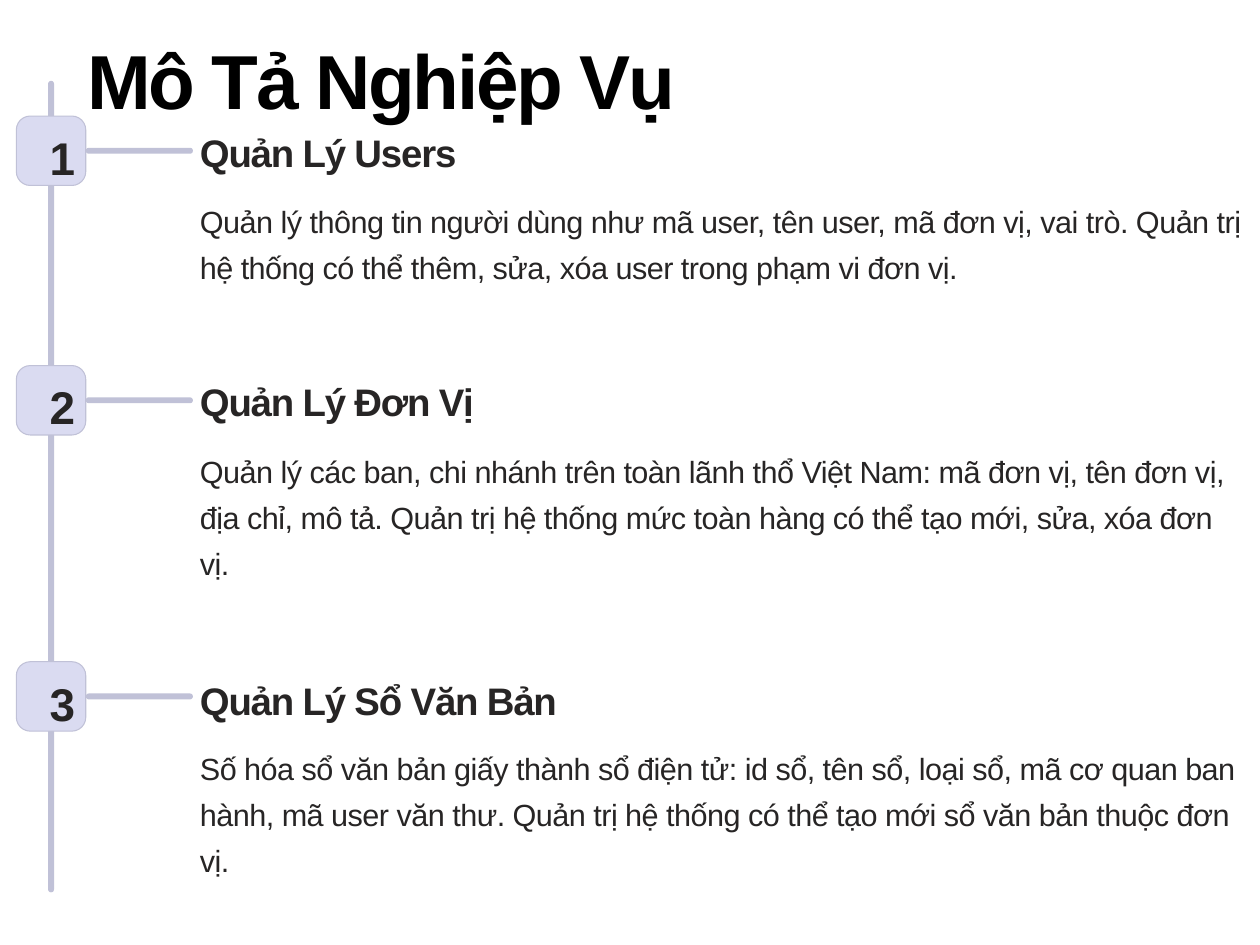
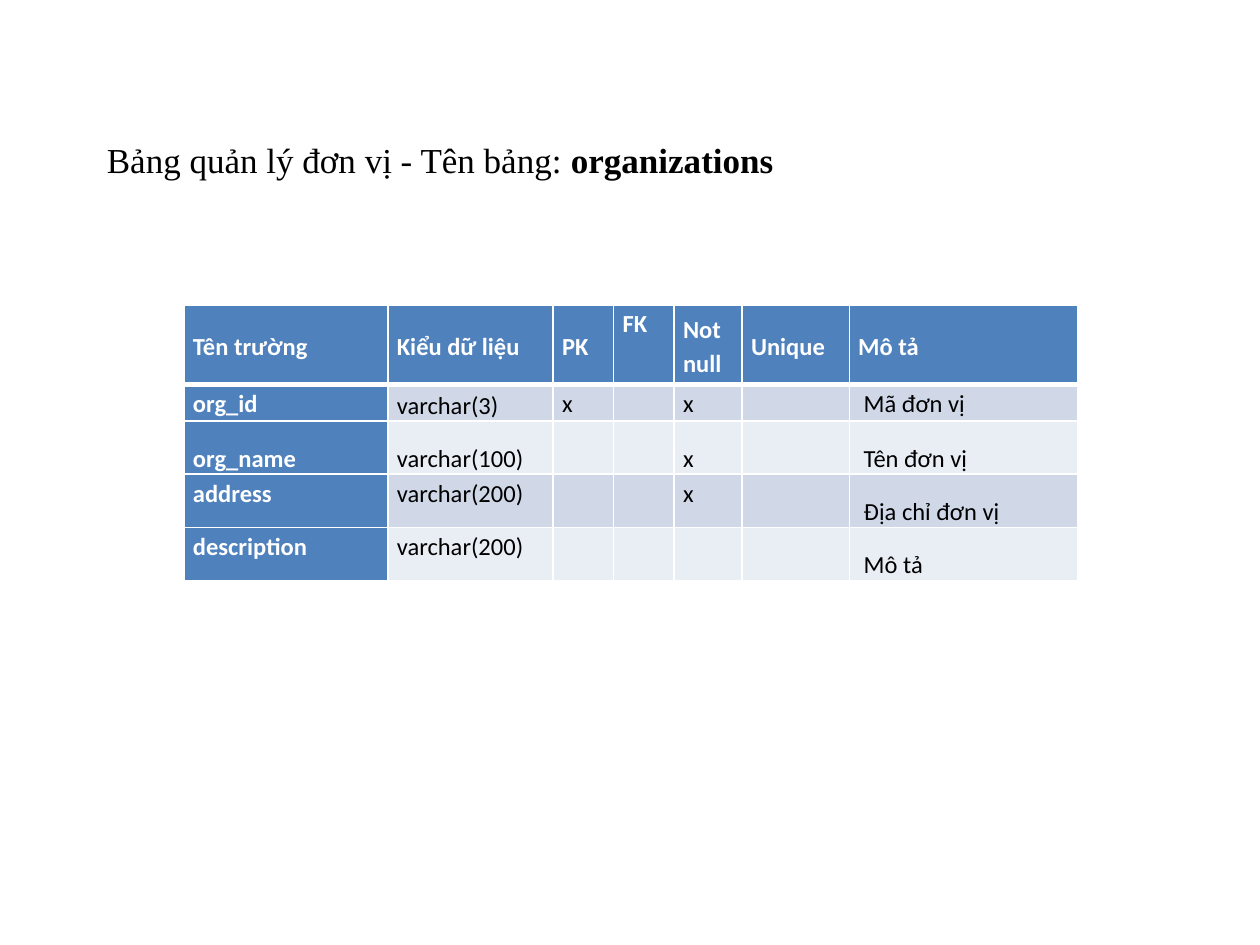
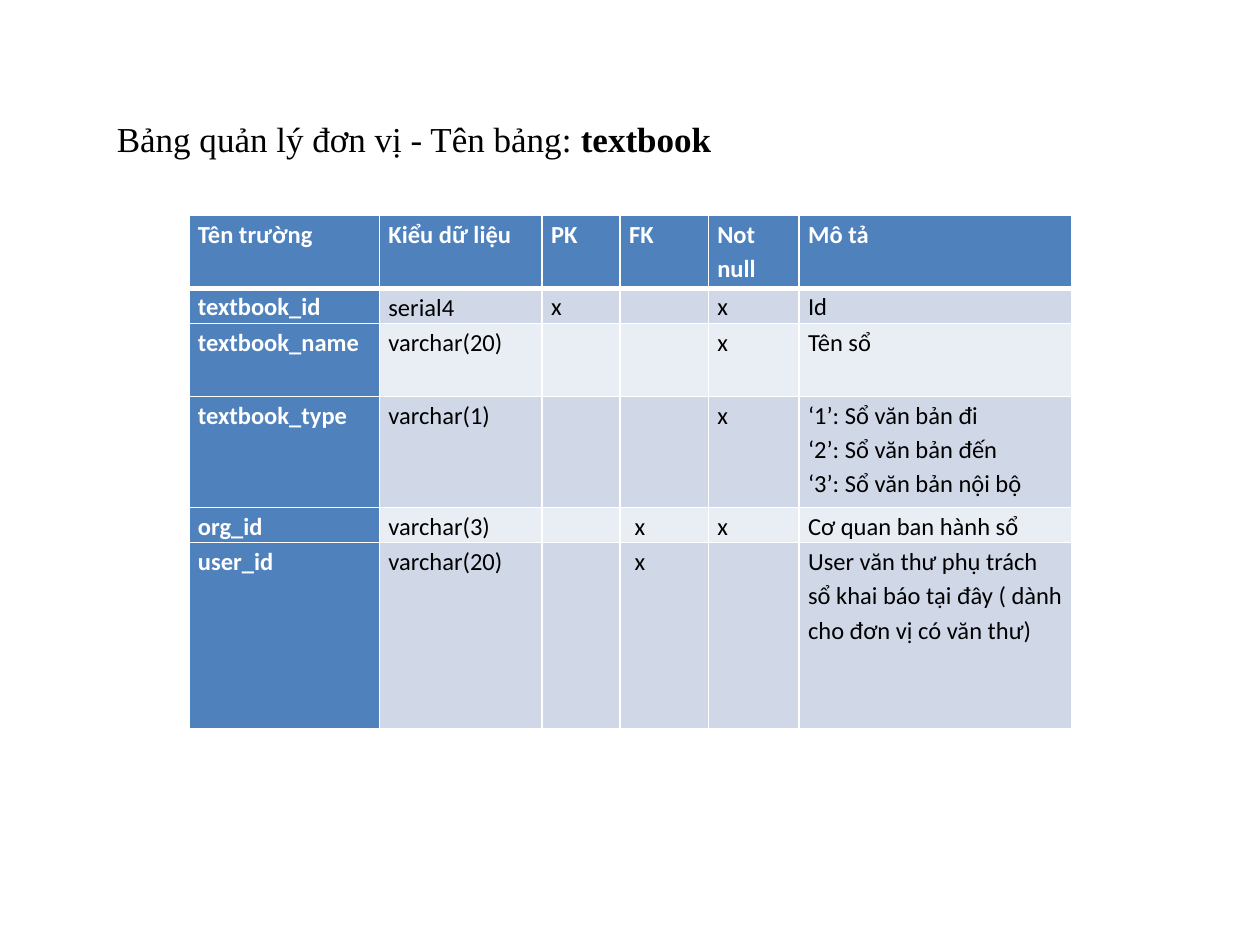
import pptx
import pptx.util
import pptx.dml.color
import pptx.enum.shapes
import pptx.enum.text
import pptx.oxml
import pptx.oxml.ns
import lxml.etree

Cm, Pt = pptx.util.Cm, pptx.util.Pt
SHAPE = pptx.enum.shapes.MSO_SHAPE
ALIGN = pptx.enum.text.PP_ALIGN
ANCHOR = pptx.enum.text.MSO_ANCHOR
qn = pptx.oxml.ns.qn

COLORS = {
    "black": "000000", "white": "FFFFFF", "ink": "272525",
    "rail": "C0C1D7", "badge": "DADBF1",
    "head": "4F81BD", "odd": "D0D8E8", "even": "E9EDF4",
}
ANCHORS = {"t": ANCHOR.TOP, "m": ANCHOR.MIDDLE, "b": ANCHOR.BOTTOM}
BAR = 0.12      # thickness of rail and arms
BADGE = 1.4     # side of a number badge

ITEMS = [  # top, extra drop of the text, lines in the box, heading, body
    (2.34, 0, 2, "Quản Lý Users",
     "Quản lý thông tin người dùng như mã user, tên user, mã đơn vị, vai trò. "
     "Quản trị hệ thống có thể thêm, sửa, xóa user trong phạm vi đơn vị."),
    (7.37, 0, 3, "Quản Lý Đơn Vị",
     "Quản lý các ban, chi nhánh trên toàn lãnh thổ Việt Nam: mã đơn vị, tên đơn vị, "
     "địa chỉ, mô tả. Quản trị hệ thống mức toàn hàng có thể tạo mới, sửa, xóa đơn vị."),
    (13.34, 0.05, 3, "Quản Lý Sổ Văn Bản",
     "Số hóa sổ văn bản giấy thành sổ điện tử: id sổ, tên sổ, loại sổ, mã cơ quan ban "
     "hành, mã user văn thư. Quản trị hệ thống có thể tạo mới sổ văn bản thuộc đơn vị."),
]

# Each table row: height, cell anchors, cell texts
ORG_COLS = [4.11, 3.33, 1.22, 1.22, 1.37, 2.16, 4.6]
ORG_ROWS = [
    (1.6, "mmmtmmm", ["Tên trường", "Kiểu dữ liệu", "PK", "FK", "Not null", "Unique", "Mô tả"]),
    (0.74, "tbttttt", ["org_id", "varchar(3)", "x", "", "x", "", " Mã đơn vị"]),
    (1.07, "bbbbbbb", ["org_name", "varchar(100)", "", "", "x", "", " Tên đơn vị"]),
    (1.07, "ttttttb", ["address", "varchar(200)", "", "", "x", "", " Địa chỉ đơn vị"]),
    (1.07, "ttttttb", ["description", "varchar(200)", "", "", "", "", " Mô tả"]),
]
BOOK_COLS = [3.84, 3.28, 1.57, 1.78, 1.83, 5.49]
BOOK_ROWS = [
    (1.47, "tttttt", ["Tên trường", "Kiểu dữ liệu", "PK", "FK", "Not null", "Mô tả"]),
    (0.71, "tbtttt", ["textbook_id", "serial4", "x", "", "x", "Id"]),
    (1.47, "tttttt", ["textbook_name", "varchar(20)", "", "", "x", "Tên sổ"]),
    (2.24, "tttttt", ["textbook_type", "varchar(1)", "", "", "x",
                      "‘1’: Sổ văn bản đi\n‘2’: Sổ văn bản đến\n‘3’: Sổ văn bản nội bộ"]),
    (0.71, "tttttt", ["org_id", "varchar(3)", "", " x", "x", "Cơ quan ban hành sổ"]),
    (3.76, "tttttt", ["user_id", "varchar(20)", "", " x", "",
                      "User văn thư phụ trách sổ khai báo tại đây ( dành cho đơn vị có văn thư)"]),
]


def rgb(key):
    return pptx.dml.color.RGBColor.from_string(COLORS[key])


def style(para, face, size, color, bold=False, space=1.15, track=0, align=ALIGN.LEFT):
    """Format a paragraph; track is the letter spacing in points."""
    font = para.font
    font.name, font.size, font.bold = face, Pt(size), bold
    font.color.rgb = rgb(color)
    para.line_spacing, para.alignment = space, align
    if track:
        para._p.pPr.find(qn("a:defRPr")).set("spc", str(round(track * 100)))


def title(slide, box, text, strong="", **look):
    shape = slide.shapes.title
    shape.left, shape.top, shape.width, shape.height = map(Cm, box)
    frame = shape.text_frame
    frame.auto_size = pptx.enum.text.MSO_AUTO_SIZE.NONE
    frame.vertical_anchor = ANCHOR.TOP
    para = frame.paragraphs[0]
    para.add_run().text = text
    if strong:
        run = para.add_run()
        run.text, run.font.bold = strong, True
    style(para, color="black", **look)


def label(slide, box, text, wrap=False, **look):
    frame = slide.shapes.add_textbox(*map(Cm, box)).text_frame
    frame.word_wrap = wrap
    frame.text = text
    style(frame.paragraphs[0], "Arial", color="ink", **look)


def block(slide, box, fill, round_by, line=None):
    shape = slide.shapes.add_shape(SHAPE.ROUNDED_RECTANGLE, *map(Cm, box))
    shape.adjustments[0] = round_by
    shape.shadow.inherit = False
    shape.fill.solid()
    shape.fill.fore_color.rgb = rgb(fill)
    if line:
        shape.line.color.rgb = rgb(line)
        shape.line.width = Pt(0.6)
    else:
        shape.line.fill.background()


def item(slide, left, top, num, drop, lines, head, body):
    """One step of the timeline: arm, badge, number, heading and body."""
    block(slide, (left + BADGE, top + (BADGE - BAR) / 2, 2.16, BAR), "rail", 0.5)
    block(slide, (left, top, BADGE, BADGE), "badge", 0.2, "rail")
    label(slide, (left + 0.42, top + 0.1, 0.56, 1.17), str(num), size=26.2, bold=True,
          space=Pt(32.8), track=-0.8, align=ALIGN.CENTER)
    text = left + 3.45
    label(slide, (text, top + 0.1 + drop, 7.72, 0.97), head, size=21.9, bold=True,
          space=Pt(27.3), track=-0.7)
    label(slide, (text, top + 1.45 + drop / 2, 21.6, 0.92 * lines), body, wrap=True,
          size=17.5, space=Pt(26.2), track=-0.3)


def timeline(deck):
    slide = deck.slides.add_slide(deck.slide_layouts[5])
    title(slide, (1.5, 0.46, 15.44, 1.93), "Mô Tả Nghiệp Vụ", face="Arial", size=43.7,
          bold=True, space=Pt(54.7), track=-1.3)
    left = 0.33
    block(slide, (left + (BADGE - BAR) / 2, 1.63, BAR, 16.36), "rail", 0.5)
    for num, (top, *parts) in enumerate(ITEMS, 1):
        item(slide, left, top, num, *parts)


def border(cell, widths):
    """White cell borders; widths maps each side to points."""
    props = cell._tc.get_or_add_tcPr()
    for i, (side, width) in enumerate(widths.items()):
        line = lxml.etree.Element(qn("a:ln" + side), w=str(Pt(width)))
        fill = lxml.etree.SubElement(line, qn("a:solidFill"))
        lxml.etree.SubElement(fill, qn("a:srgbClr"), val=COLORS["white"])
        props.insert(i, line)


def grid(slide, left, top, cols, rows):
    """Table with a coloured first row and first column, and banded rows."""
    heights = [row[0] for row in rows]
    table = slide.shapes.add_table(len(rows), len(cols), Cm(left), Cm(top),
                                   Cm(sum(cols)), Cm(sum(heights))).table
    for col, width in zip(table.columns, cols):
        col.width = Cm(width)
    for r, (height, anchors, texts) in enumerate(rows):
        table.rows[r].height = Cm(height)
        for c, text in enumerate(texts):
            cell = table.cell(r, c)
            main = r == 0 or c == 0
            cell.text = text
            cell.margin_left = cell.margin_right = Cm(0.18)
            cell.margin_top = cell.margin_bottom = 0
            cell.vertical_anchor = ANCHORS[anchors[c]]
            cell.fill.solid()
            cell.fill.fore_color.rgb = rgb("head" if main else "odd" if r % 2 else "even")
            border(cell, {"L": 1, "R": 1, "T": 3 if r == 1 else 1, "B": 3 if r == 0 else 1})
            for para in cell.text_frame.paragraphs:
                style(para, "Calibri", 14, "white" if main else "black", main)


def schema(deck, name, box, left, top, cols, rows):
    slide = deck.slides.add_slide(deck.slide_layouts[5])
    title(slide, box, "Bảng quản lý đơn vị - Tên bảng: ", name,
          face="Times New Roman", size=20)
    grid(slide, left, top, cols, rows)


def main():
    deck = pptx.Presentation()
    deck.slide_width, deck.slide_height = Cm(25.4), Cm(19.05)
    timeline(deck)
    schema(deck, "organizations", (1.9, 2.54, 18.62, 1.17), 3.71, 6.15, ORG_COLS, ORG_ROWS)
    schema(deck, "textbook", (2.1, 2.11, 14.81, 1.17), 3.81, 4.34, BOOK_COLS, BOOK_ROWS)
    deck.save("out.pptx")


if __name__ == "__main__":
    main()
